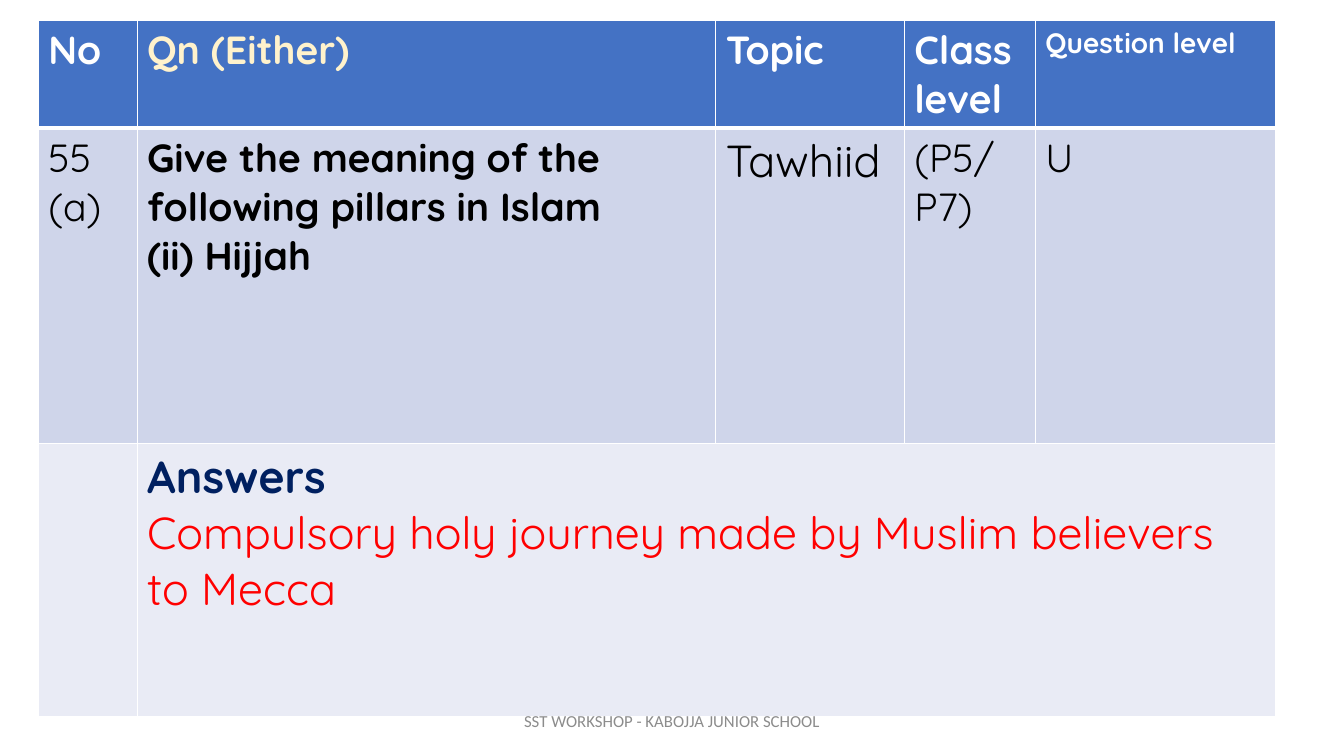
from dataclasses import dataclass

from lxml import etree
from pptx import Presentation
from pptx import util as u
from pptx.dml.color import RGBColor
from pptx.enum import text
from pptx.oxml import ns

SLIDE_W, SLIDE_H = 13.33, 7.5


@dataclass(frozen=True)
class Theme:
    font: str = "Quicksand"
    footer_font: str = "Calibri"
    header_fill: str = "4472C4"
    question_fill: str = "CFD5EA"
    answer_fill: str = "E9EBF5"
    white: str = "FFFFFF"
    cream: str = "FFF2CC"
    black: str = "000000"
    navy: str = "002060"
    red: str = "FF0000"
    grey: str = "8C8C8C"
    large: int = 32
    normal: int = 28
    small: int = 20
    footer: int = 12
    rule: int = 1
    header_rule: int = 3


THEME = Theme()


def write(frame, lines, font=THEME.font):
    """Fill a frame with (wording, size, colour, bold) lines."""
    frame.text = "\n".join(line[0] for line in lines)
    for paragraph, (_, size, colour, bold) in zip(frame.paragraphs, lines):
        for run in paragraph.runs:
            run.font.name = font
            run.font.size = u.Pt(size)
            run.font.bold = bold
            run.font.color.rgb = RGBColor.from_string(colour)


def set_borders(cell, top, bottom):
    """Draw white rules round a cell, widths in points."""
    properties = cell._tc.get_or_add_tcPr()
    widths = {"lnL": THEME.rule, "lnR": THEME.rule, "lnT": top, "lnB": bottom}
    for side, width in widths.items():
        line = etree.SubElement(properties, ns.qn(f"a:{side}"), w=str(u.Pt(width)))
        fill = etree.SubElement(line, ns.qn("a:solidFill"))
        etree.SubElement(fill, ns.qn("a:srgbClr"), val=THEME.white)


def question_table(slide, box, columns, rows):
    """Place the question table; columns and rows are lengths within the box."""
    t = THEME
    body = (t.normal, t.black, False)
    content = [
        # Headings
        [[("No", t.normal, t.white, True)],
         [("Qn (Either)", t.normal, t.cream, True)],
         [("Topic", t.normal, t.white, True)],
         [("Class level", t.normal, t.white, True)],
         [("Question level", t.small, t.white, True)]],
        # Question
        [[("55", *body), ("(a)", *body)],
         [("Give the meaning of the following pillars in Islam", t.normal, t.black, True),
          ("(ii) Hijjah", t.normal, t.black, True)],
         [("Tawhiid", t.large, t.black, False)],
         [("(P5/P7)", *body)],
         [("U", *body)]],
        # Answer, across all columns but the first
        [[],
         [("Answers", t.large, t.navy, True),
          ("Compulsory holy journey made by Muslim believers to Mecca",
           t.large, t.red, False)],
         [], [], []],
    ]
    fills = [t.header_fill, t.question_fill, t.answer_fill]
    rules = [t.rule, t.header_rule, t.rule, t.rule]

    table = slide.shapes.add_table(len(rows), len(columns), *map(u.Inches, box)).table
    for column, width in zip(table.columns, columns):
        column.width = u.Inches(width)
    for r, height in enumerate(rows):
        table.rows[r].height = u.Inches(height)
        for c, lines in enumerate(content[r]):
            cell = table.cell(r, c)
            set_borders(cell, rules[r], rules[r + 1])
            cell.fill.solid()
            cell.fill.fore_color.rgb = RGBColor.from_string(fills[r])
            if lines:
                write(cell.text_frame, lines)
    table.cell(2, 1).merge(table.cell(2, len(columns) - 1))


def footer(slide, box):
    """Place the centred workshop line."""
    frame = slide.shapes.add_textbox(*map(u.Inches, box)).text_frame
    frame.word_wrap = True
    frame.vertical_anchor = text.MSO_ANCHOR.MIDDLE
    write(frame, [("SST WORKSHOP - KABOJJA JUNIOR SCHOOL",
                   THEME.footer, THEME.grey, False)], THEME.footer_font)
    frame.paragraphs[0].alignment = text.PP_ALIGN.CENTER


def main():
    deck = Presentation()
    deck.slide_width, deck.slide_height = u.Inches(SLIDE_W), u.Inches(SLIDE_H)
    slide = deck.slides.add_slide(deck.slide_layouts[6])

    columns = [0.98, 5.74, 1.87, 1.3, 2.38]
    rows = [1.04, 3.13, 2.71]
    question_table(slide, (0.38, 0.2, sum(columns), sum(rows)), columns, rows)

    footer_w = 4.5
    footer(slide, ((SLIDE_W - footer_w) / 2, 6.95, footer_w, 0.4))
    deck.save("out.pptx")


if __name__ == "__main__":
    main()
